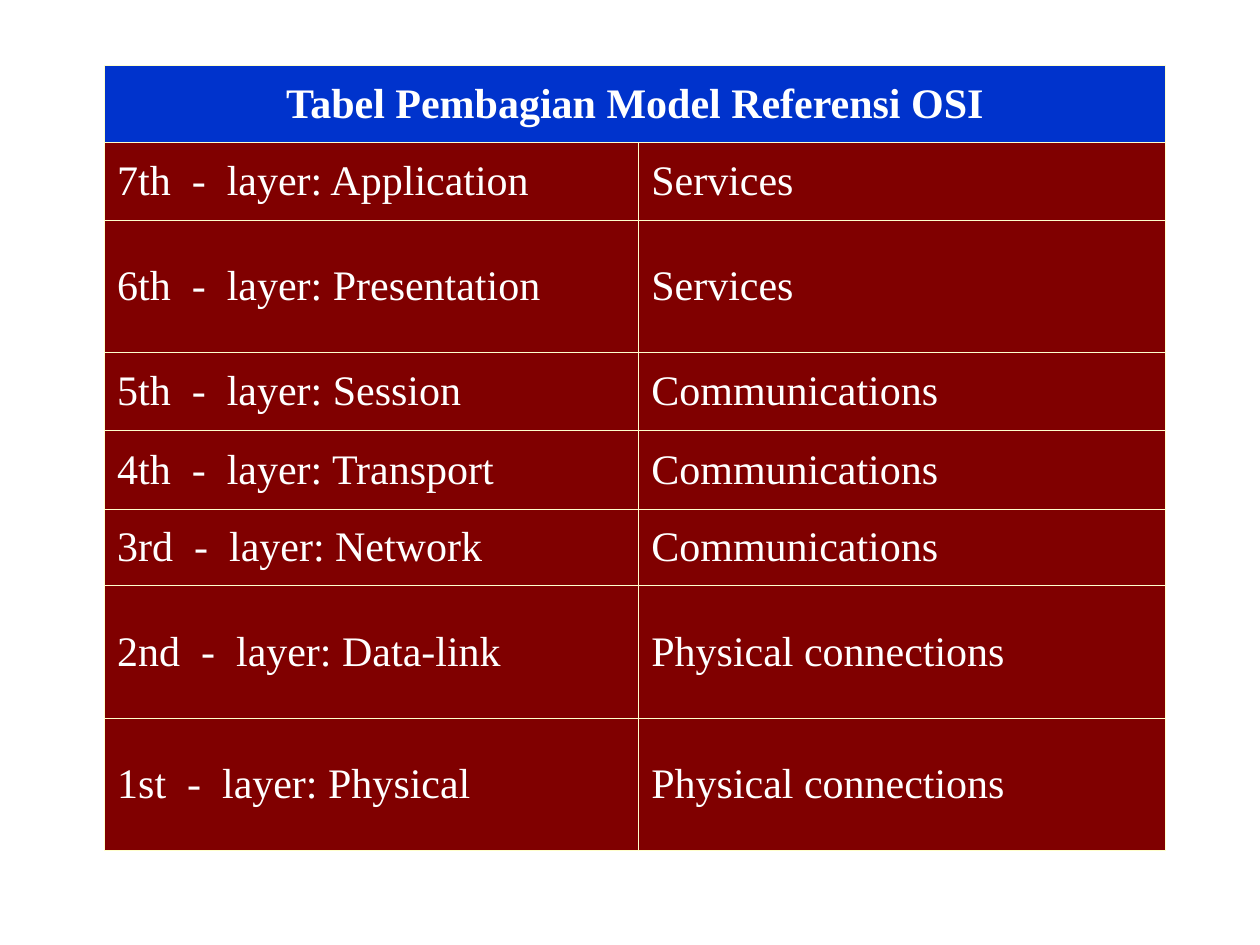
import pptx
import pptx.dml.color
import pptx.enum.text
import pptx.oxml.ns
import pptx.util
from lxml import etree

Inches = pptx.util.Inches
Pt = pptx.util.Pt
ALIGN = pptx.enum.text.PP_ALIGN


def color(hex_value):
    return pptx.dml.color.RGBColor.from_string(hex_value)


def add_borders(cell, hex_value, width):
    """Line all four sides of a cell; call before setting its fill."""
    properties = cell._tc.get_or_add_tcPr()
    for side in ("lnL", "lnR", "lnT", "lnB"):
        line = etree.SubElement(properties, pptx.oxml.ns.qn(f"a:{side}"), w=str(int(width)))
        fill = etree.SubElement(line, pptx.oxml.ns.qn("a:solidFill"))
        etree.SubElement(fill, pptx.oxml.ns.qn("a:srgbClr"), val=hex_value)


TITLE = "Tabel Pembagian Model Referensi OSI"
LAYERS = [
    ("7th  -  layer: Application", "Services"),
    ("6th  -  layer: Presentation", "Services"),
    ("5th  -  layer: Session", "Communications"),
    ("4th  -  layer: Transport", "Communications"),
    ("3rd  -  layer: Network", "Communications"),
    ("2nd  -  layer: Data-link", "Physical connections"),
    ("1st  -  layer: Physical", "Physical connections"),
]
COLUMN_WIDTHS = [4.24, 4.18]
ROW_HEIGHTS = [0.61, 0.62, 1.05, 0.62, 0.62, 0.61, 1.05, 1.05]
HEADER_FORMAT = {"fill": "0033CC", "bold": True, "alignment": ALIGN.CENTER}
BODY_FORMAT = {"fill": "800000", "bold": False, "alignment": ALIGN.JUSTIFY}

presentation = pptx.Presentation()
presentation.slide_width = Inches(10)
presentation.slide_height = Inches(7.5)
slide = presentation.slides.add_slide(presentation.slide_layouts[6])

table = slide.shapes.add_table(
    len(ROW_HEIGHTS), len(COLUMN_WIDTHS), Inches(0.83), Inches(0.52),
    Inches(sum(COLUMN_WIDTHS)), Inches(sum(ROW_HEIGHTS))).table
for column, width in zip(table.columns, COLUMN_WIDTHS):
    column.width = Inches(width)
for row, height in zip(table.rows, ROW_HEIGHTS):
    row.height = Inches(height)
table.cell(0, 0).merge(table.cell(0, 1))

for row_index, texts in enumerate([(TITLE, ""), *LAYERS]):
    cell_format = BODY_FORMAT if row_index else HEADER_FORMAT
    for column_index, text in enumerate(texts):
        cell = table.cell(row_index, column_index)
        add_borders(cell, "FFFFCC", Pt(0.45))
        cell.fill.solid()
        cell.fill.fore_color.rgb = color(cell_format["fill"])
        cell.vertical_anchor = pptx.enum.text.MSO_ANCHOR.MIDDLE
        if cell.is_spanned:
            continue

        cell.text = text
        paragraph = cell.text_frame.paragraphs[0]
        paragraph.alignment = cell_format["alignment"]
        paragraph_properties = paragraph._p.get_or_add_pPr()
        paragraph_properties.set("marL", str(Inches(0.38)))
        paragraph_properties.set("indent", str(-Inches(0.38)))
        font = paragraph.runs[0].font
        font_format = {"name": "Times New Roman", "size": Pt(24), "bold": cell_format["bold"]}
        for attribute, value in font_format.items():
            setattr(font, attribute, value)
        font.color.rgb = color("FFFFFF")

presentation.save("out.pptx")
